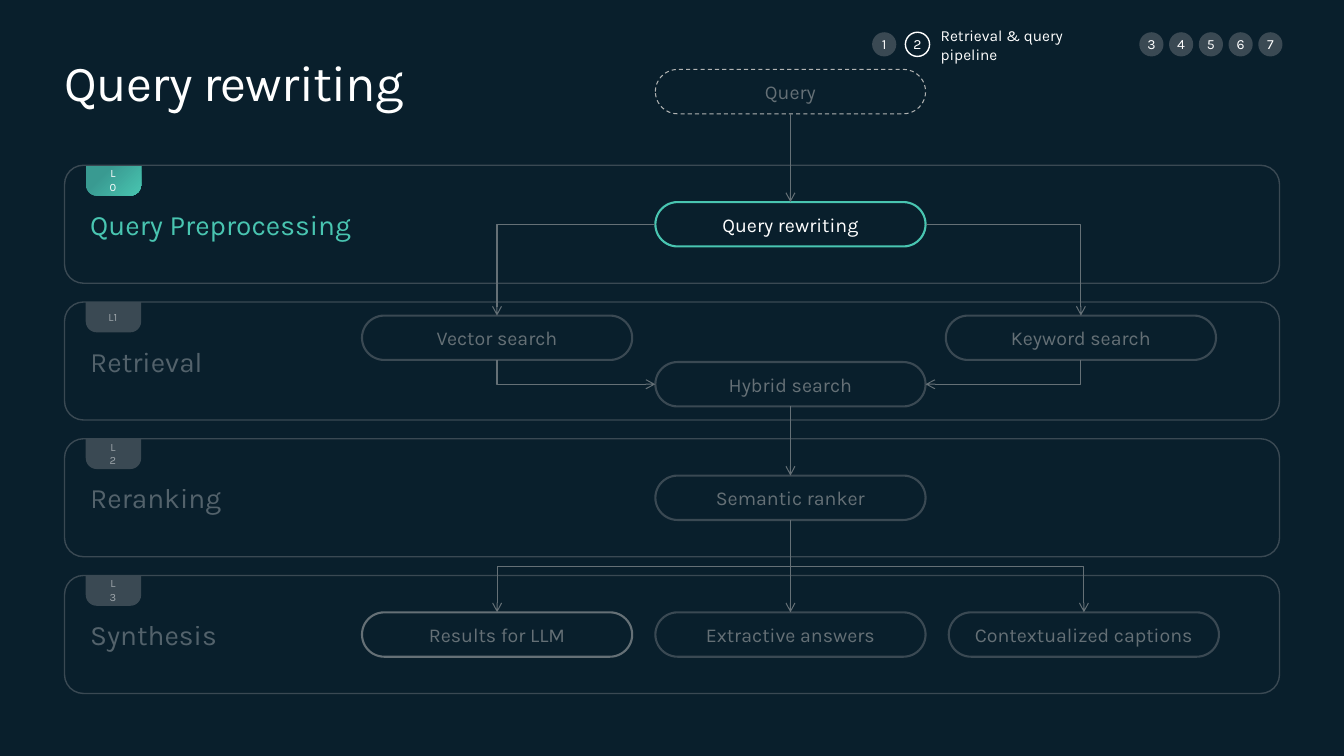
from pptx import Presentation
from pptx.dml.color import RGBColor
from pptx.enum.dml import MSO_LINE
from pptx.enum.shapes import MSO_CONNECTOR, MSO_SHAPE
from pptx.enum.text import MSO_ANCHOR, PP_ALIGN
from pptx.oxml.ns import qn
from pptx.util import Inches, Pt
from lxml.etree import SubElement

NIGHT = RGBColor(0x09, 0x1F, 0x2C)
WHITE = RGBColor(0xFF, 0xFF, 0xFF)
SLATE = RGBColor(0x3A, 0x49, 0x53)
GREY = RGBColor(0x65, 0x70, 0x76)
SILVER = RGBColor(0xB1, 0xB3, 0xB3)
TEAL = RGBColor(0x39, 0x9A, 0x91)
MINT = RGBColor(0x49, 0xC5, 0xB1)

TITLE = "Query rewriting"
STEP = "Retrieval & query pipeline"
BANDS = [
    ("L0", "Query Preprocessing", MINT, 100, 100),
    ("L1", "Retrieval", WHITE, 50, 30),
    ("L2", "Reranking", WHITE, 50, 30),
    ("L3", "Synthesis", WHITE, 50, 30),
]
NODES = {
    "Query": (1, -0.97, SILVER, GREY),
    "Query rewriting": (1, 0, MINT, WHITE),
    "Vector search": (0, 0.83, SLATE, GREY),
    "Hybrid search": (1, 1.17, SLATE, GREY),
    "Keyword search": (1.99, 0.83, SLATE, GREY),
    "Semantic ranker": (1, 2, SLATE, GREY),
    "Extractive answers": (1, 3, SLATE, GREY),
    "Contextualized captions": (2, 3, SLATE, GREY),
    "Results for LLM": (0, 3, GREY, GREY),
}
ROOT, HYBRID, RANK = "Query rewriting", "Hybrid search", "Semantic ranker"
LINKS = [
    ("Query", 2, ROOT, 0, "line", "tailEnd"),
    (ROOT, 1, "Vector search", 0, "bentConnector2", "tailEnd"),
    (ROOT, 3, "Keyword search", 0, "bentConnector2", "tailEnd"),
    (HYBRID, 1, "Vector search", 2, "bentConnector2", "headEnd"),
    (HYBRID, 3, "Keyword search", 2, "bentConnector2", "headEnd"),
    (HYBRID, 2, RANK, 0, "line", "tailEnd"),
    (RANK, 2, "Results for LLM", 0, "bentConnector3", "tailEnd"),
    (RANK, 2, "Contextualized captions", 0, "bentConnector3", "tailEnd"),
    (RANK, 2, "Extractive answers", 0, "line", "tailEnd"),
]
DOTS = [8.65, 8.98] + [11.3 + 0.295 * i for i in range(5)]

LEFT, WIDE, DEEP = 0.64, 12.05, 1.17
TOP, LAST = 1.64, 5.71
GAP = (LAST - TOP) / 3
COL, PITCH, LONG, TALL = 3.59, 2.91, 2.68, 0.44
TAG = (0.55, 0.3)

deck = Presentation()
deck.slide_width, deck.slide_height = Inches(13.33), Inches(7.5)
slide = deck.slides.add_slide(deck.slide_layouts[6])
slide.background.fill.solid()
slide.background.fill.fore_color.rgb = NIGHT
shapes = slide.shapes


def write(shape, text, size, color, pad=(0, 0), mid=True, wrap=True, alpha=100):
    frame = shape.text_frame
    look = dict(margin_left=Inches(pad[0]), margin_right=Inches(pad[0]),
                margin_top=Inches(pad[1]), margin_bottom=Inches(pad[1]),
                vertical_anchor=MSO_ANCHOR.MIDDLE, word_wrap=wrap)
    for key, val in look.items():
        setattr(frame, key, val)
    par = frame.paragraphs[0]
    par.alignment = PP_ALIGN.CENTER if mid else PP_ALIGN.LEFT
    run = par.add_run()
    run.text = text
    for key, val in dict(name="Karla", size=Pt(size)).items():
        setattr(run.font, key, val)
    run.font.color.rgb = color
    if alpha < 100:
        tint = run.font.fill._xPr.find(".//" + qn("a:srgbClr"))
        SubElement(tint, qn("a:alpha"), val=str(alpha * 1000))
    return run


def label(x, y, w, h, *args, **more):
    return write(shapes.add_textbox(*map(Inches, (x, y, w, h))), *args, **more)


def draw(kind, x, y, w, h, fill=None, line=None, width=1, bend=()):
    shape = shapes.add_shape(kind, *map(Inches, (x, y, w, h)))
    shape.shadow.inherit = False
    for i, val in enumerate(bend):
        shape.adjustments[i] = val
    for part, color in ((shape.fill, fill), (shape.line.fill, line)):
        if color is None:
            part.background()
        else:
            part.solid()
            part.fore_color.rgb = color
    if line is not None:
        shape.line.width = Pt(width)
    return shape


def glow(shape):
    shape.fill.gradient()
    for stop, color, place in zip(shape.fill.gradient_stops, (MINT, TEAL), (0, 0.7)):
        stop.color.rgb, stop.position = color, place
    grad = shape._element.spPr.find(qn("a:gradFill"))
    grad.remove(grad.find(qn("a:lin")))
    ring = SubElement(grad, qn("a:path"), path="circle")
    SubElement(ring, qn("a:fillToRect"), l="100000", t="100000")


def turn(link):
    x, y, w, h = link.left, link.top, link.width, link.height
    form = link._element.spPr.find(qn("a:xfrm"))
    back = form.get("flipH") == "1"
    form.set("flipH", "0" if back else "1")
    form.set("rot", str((90 if back else 270) * 60000))
    link.left, link.top = x + (w - h) // 2, y + (h - w) // 2
    link.width, link.height = h, w


def join(start, out, stop, into, kind, end):
    style = MSO_CONNECTOR.STRAIGHT if kind == "line" else MSO_CONNECTOR.ELBOW
    link = shapes.add_connector(style, 0, 0, 0, 0)
    link.begin_connect(boxes[start], out)
    link.end_connect(boxes[stop], into)
    link.line.color.rgb, link.line.width = GREY, Pt(0.75)
    spot = link._element.spPr
    spot.find(qn("a:prstGeom")).set("prst", kind)
    SubElement(spot.find(qn("a:ln")), qn("a:" + end), type="arrow")
    SubElement(spot, qn("a:effectLst"))
    if kind == "bentConnector3":
        turn(link)


head = label(LEFT, 0.5, 7.93, 0.61, TITLE, 36, WHITE, mid=False)
head.font._element.set("spc", "-50")

for row, (code, name, color, dim, faint) in enumerate(BANDS):
    y = TOP + GAP * row
    tag = draw(MSO_SHAPE.ROUND_2_SAME_RECTANGLE, 0.85, y, *TAG, fill=SLATE, bend=(0.36, 0))
    tag.rotation = 180
    if row == 0:
        glow(tag)
    label(1.07, y + 0.07, 0.1, 0.15, code, 8, WHITE, alpha=dim)
    band = draw(MSO_SHAPE.ROUNDED_RECTANGLE, LEFT, y, WIDE, DEEP, line=SLATE, bend=(0.16,))
    write(band, name, 20, color, (0.2, 0.16), mid=False, alpha=faint)

boxes = {}
for name, (col, row, line, ink) in NODES.items():
    x = COL + PITCH * col
    y = TOP + GAP * row + (DEEP - TALL) / 2
    box = draw(MSO_SHAPE.ROUNDED_RECTANGLE, x, y, LONG, TALL, line=line, width=1.5, bend=(0.5,))
    write(box, name, 14, ink, (0.2, 0.04), wrap=False)
    boxes[name] = box
boxes["Query"].line.width = Pt(0.75)
boxes["Query"].line.dash_style = MSO_LINE.DASH

for link in LINKS:
    join(*link)

for num, x in enumerate(DOTS, 1):
    live = num == 2
    dot = draw(MSO_SHAPE.OVAL, x, 0.32, 0.24, 0.24,
               fill=NIGHT if live else SLATE, line=WHITE if live else None)
    write(dot, str(num), 10, WHITE, wrap=False)
label(9.33, 0.35, 1.8, 0.19, STEP, 11, WHITE, mid=False)

deck.save("out.pptx")
